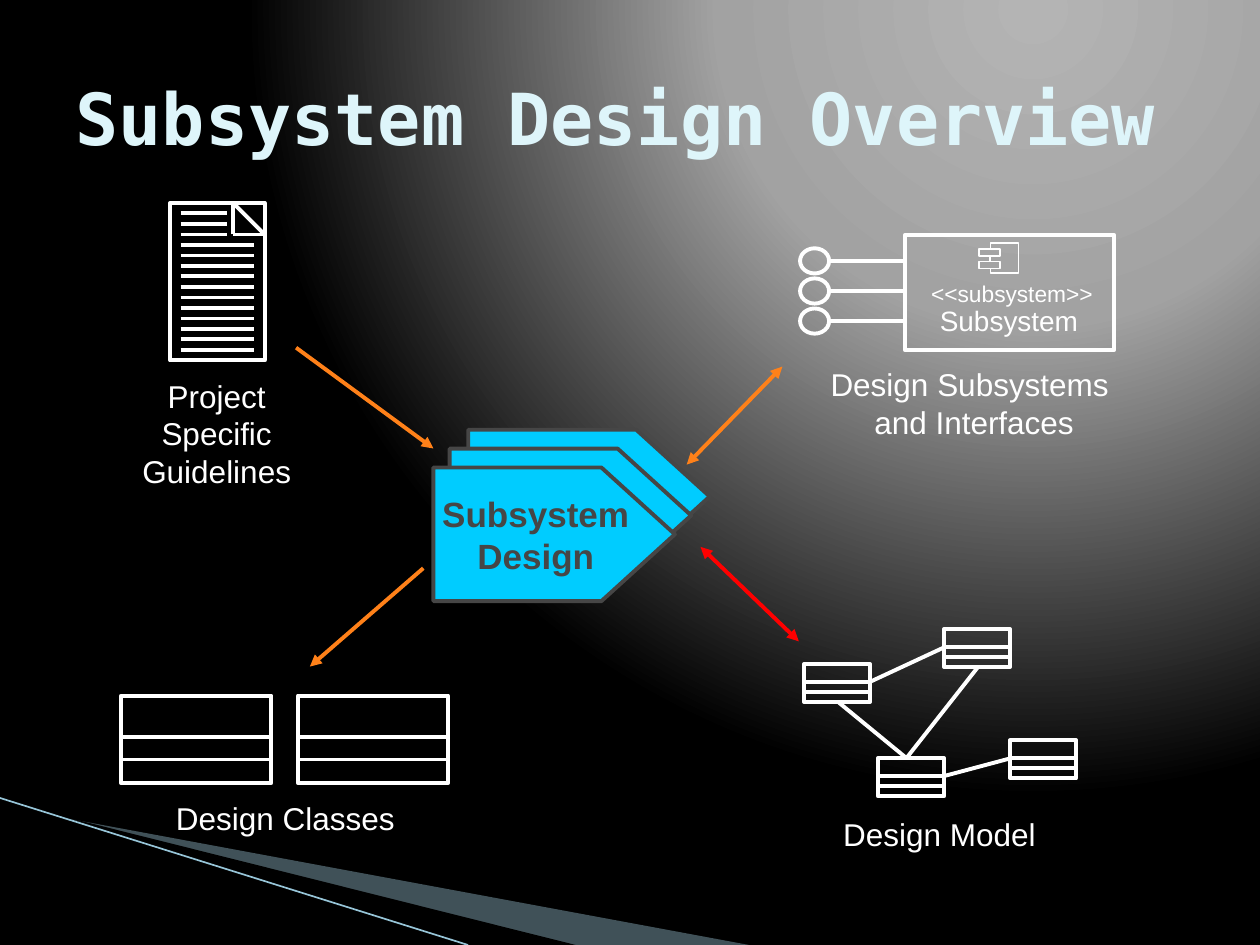
from dataclasses import dataclass

from lxml import etree
from pptx import Presentation
from pptx.dml.color import RGBColor
from pptx.enum.shapes import MSO_CONNECTOR, MSO_SHAPE
from pptx.enum.text import MSO_ANCHOR, MSO_AUTO_SIZE, PP_ALIGN
from pptx.oxml import parse_xml
from pptx.oxml.ns import nsdecls, qn
from pptx.util import Pt

STRAIGHT = MSO_CONNECTOR.STRAIGHT
RECTANGLE, OVAL, PENTAGON = MSO_SHAPE.RECTANGLE, MSO_SHAPE.OVAL, MSO_SHAPE.PENTAGON
MIDDLE = MSO_ANCHOR.MIDDLE
NO_FIT, GROW = MSO_AUTO_SIZE.NONE, MSO_AUTO_SIZE.SHAPE_TO_FIT_TEXT
LEFT, CENTER = PP_ALIGN.LEFT, PP_ALIGN.CENTER


@dataclass(frozen=True)
class Theme:
    backdrop: tuple = ((0, "B4B4B4"), (40, "A2A2A2"), (100, "000000"))
    title: str = "DEF5FA"
    ink: str = "FFFFFF"
    step: str = "00CCFF"
    step_ink: str = "464646"
    flow: str = "FF8119"
    model_flow: str = "FF0000"
    swoosh: str = "A0CBDC"
    swoosh_line: str = "97C5D8"
    shade: str = "000000"
    title_font: str = "DejaVu Sans Mono"
    font: str = "Arial"
    title_size: float = 41
    step_size: float = 20
    caption_size: float = 18
    name_size: float = 16
    stereotype_size: float = 13
    stroke: float = 2.25
    thin: float = 1


THEME = Theme()


def set_background(page):
    """Radial gradient with its centre at the upper right."""
    stops = "".join(
        f'<a:gs pos="{position * 1000}"><a:srgbClr val="{color}"/></a:gs>'
        for position, color in THEME.backdrop)
    page._element.cSld.insert(0, parse_xml(
        f'<p:bg {nsdecls("p", "a")}><p:bgPr><a:gradFill rotWithShape="1">'
        f'<a:gsLst>{stops}</a:gsLst><a:path path="circle">'
        '<a:fillToRect l="65000" t="0" r="0" b="98000"/></a:path>'
        '</a:gradFill><a:effectLst/></p:bgPr></p:bg>'))


def style_shape(shape, fill=None, line=None, width=THEME.stroke):
    shape.shadow.inherit = False
    if fill:
        shape.fill.solid()
        shape.fill.fore_color.rgb = RGBColor.from_string(fill)
    else:
        shape.fill.background()
    if line:
        shape.line.color.rgb = RGBColor.from_string(line)
        shape.line.width = Pt(width)
    else:
        shape.line.fill.background()
    return shape


def add_outline(shapes, kind, left, top, width, height, stroke=THEME.stroke):
    shape = shapes.add_shape(kind, Pt(left), Pt(top), Pt(width), Pt(height))
    return style_shape(shape, line=THEME.ink, width=stroke)


def add_freeform(shapes, points, closed=True, **style):
    builder = shapes.build_freeform(*points[0], scale=Pt(1))
    builder.add_line_segments(points[1:], close=closed)
    return style_shape(builder.convert_to_shape(), **style)


def add_line(shapes, start, end, color=THEME.ink, width=THEME.stroke, arrows=()):
    """Straight line; arrows lists the ends ("headEnd", "tailEnd") that get a tip."""
    line = shapes.add_connector(STRAIGHT, *(Pt(value) for value in (*start, *end)))
    line.line.color.rgb = RGBColor.from_string(color)
    line.line.width = Pt(width)
    for arrow in arrows:
        etree.SubElement(line.line._ln, qn(f"a:{arrow}"), type="triangle")
    etree.SubElement(line._element.spPr, qn("a:effectLst"))


def write(frame, text, size, color=THEME.ink, font=THEME.font, bold=False, align=CENTER):
    frame.text = text
    for para in frame.paragraphs:
        para.alignment = align
        para.font.size = Pt(size)
        para.font.name = font
        para.font.bold = bold
        para.font.color.rgb = RGBColor.from_string(color)


def add_text(shapes, text, left, top, width, height, size=THEME.caption_size,
             align=CENTER, wrap=False, inset=True):
    box = shapes.add_textbox(Pt(left), Pt(top), Pt(width), Pt(height))
    frame = box.text_frame
    frame.word_wrap = wrap
    frame.auto_size = GROW
    if not inset:
        frame.margin_left = frame.margin_right = Pt(0)
        frame.margin_top = frame.margin_bottom = Pt(0)
    write(frame, text, size, align=align)


def add_class(shapes, left, top, width, height):
    """Class symbol: a box with three compartments."""
    add_outline(shapes, RECTANGLE, left, top, width, height)
    for share in (0.47, 0.73):
        y = top + share * height
        add_line(shapes, (left, y), (left + width, y))


def add_swoosh(page):
    wing = add_freeform(page.shapes, [(39.6, 468), (428.4, 540), (328.3, 540)],
                        fill=THEME.swoosh)
    color = wing._element.spPr.find(f'{qn("a:solidFill")}/{qn("a:srgbClr")}')
    etree.SubElement(color, qn("a:alpha"), val="40000")
    add_freeform(page.shapes, [(38.2, 467.3), (329, 540), (267.8, 540)], fill=THEME.shade)
    add_line(page.shapes, (0, 456), (267.5, 540), THEME.swoosh_line, 0.95)


def add_title(page):
    title = page.shapes.title
    title.left, title.top, title.width, title.height = Pt(36), Pt(21.6), Pt(648), Pt(90)
    title.text_frame.vertical_anchor = MIDDLE
    title.text_frame.auto_size = NO_FIT
    write(title.text_frame, "Subsystem Design Overview", THEME.title_size,
          THEME.title, THEME.title_font, True, LEFT)


def add_design_step(page):
    for left, top in ((267.6, 245.6), (257, 256.4), (247.7, 267.2)):
        plate = page.shapes.add_shape(PENTAGON, Pt(left), Pt(top), Pt(138), Pt(76.3))
        plate.adjustments[0] = 0.55
        style_shape(plate, THEME.step, THEME.step_ink)
    plate.text_frame.word_wrap = False
    plate.text_frame.vertical_anchor = MIDDLE
    write(plate.text_frame, "Subsystem\nDesign", THEME.step_size, THEME.step_ink, bold=True)


def add_guidelines(page):
    shapes = page.shapes.add_group_shape().shapes
    left, top, width, height, fold = 97.2, 116, 54, 90, 18
    right = left + width
    add_outline(shapes, RECTANGLE, left, top, width, height)
    # Folded corner
    corner = [(right - fold, top), (right, top + fold), (right - fold, top + fold)]
    for index, point in enumerate(corner):
        add_line(shapes, point, corner[(index + 1) % 3])
    # Lines of writing, short beside the fold
    for row in range(14):
        y = top + 6 * (row + 1)
        add_line(shapes, (left + 6, y), (129.6 if row < 3 else right - 6, y))
    add_text(shapes, "Project Specific\nGuidelines", 54.7, 211.7, 138.2, 50.4)


def add_subsystem(page):
    shapes = page.shapes
    for row in range(3):
        top = 141.9 + 17.2 * row
        add_outline(shapes, OVAL, 457.2, top, 16.6, 14.4)
        add_line(shapes, (473.8, top + 7.2), (517, top + 7.2))
    add_outline(shapes, RECTANGLE, 517, 134.5, 119.8, 65.5)
    add_text(shapes, "Subsystem", 537.1, 173.5, 79.2, 19.4, THEME.name_size, LEFT, inset=False)
    add_text(shapes, "<<subsystem>>", 532.1, 159.8, 92.9, 15.8, THEME.stereotype_size,
             LEFT, inset=False)
    # Component symbol
    icon = shapes.add_group_shape().shapes
    for top in (142.2, 149.4):
        add_outline(icon, RECTANGLE, 559.3, top, 12, 4, THEME.thin)
    frame = [(565.9, 142.2), (565.9, 139.2), (582.5, 139.2),
             (582.5, 156.1), (565.9, 156.1), (565.9, 153.5)]
    add_freeform(icon, frame, closed=False, line=THEME.ink, width=THEME.thin)
    add_line(icon, (565.9, 146.2), (565.9, 149.4), width=THEME.thin)
    add_text(shapes, "Design Subsystems \nand Interfaces", 467.3, 205.2, 178.6, 50.4)


def add_design_classes(page):
    for left in (69.1, 170.2):
        add_class(page.shapes.add_group_shape().shapes, left, 397.6, 86, 49.9)
    add_text(page.shapes, "Design Classes", 79.2, 452.9, 167.8, 28.8, wrap=True)


def add_design_model(page):
    shapes = page.shapes.add_group_shape().shapes
    for left, top in ((459.4, 379.4), (539.4, 359.4), (501.7, 433.2), (577.2, 423)):
        add_class(shapes, left, top, 37.8, 21.8)
    for start, end in (((518, 433.2), (479, 401.2)), ((497.2, 389.6), (539.4, 370)),
                       ((539.4, 443.5), (577.2, 433.4)), ((518, 433.2), (558.7, 381.4))):
        add_line(shapes, start, end)
    add_text(shapes, "Design Model", 474.5, 462.2, 124.6, 28.8)


def add_flows(page):
    both, forward = ("headEnd", "tailEnd"), ("tailEnd",)
    for start, end, color, arrows in (
            ((392.4, 265.5), (447.1, 209.5), THEME.flow, both),
            ((241.9, 324.7), (177.1, 380.9), THEME.flow, forward),
            ((169.2, 198.7), (247.7, 256.3), THEME.flow, forward),
            ((456.5, 366.5), (400.3, 312.5), THEME.model_flow, both)):
        add_line(page.shapes, start, end, color, arrows=arrows)


def main():
    deck = Presentation()
    deck.slide_width, deck.slide_height = Pt(720), Pt(540)
    page = deck.slides.add_slide(deck.slide_layouts.get_by_name("Title Only"))
    for part in (set_background, add_swoosh, add_title, add_design_step, add_guidelines,
                 add_subsystem, add_design_classes, add_design_model, add_flows):
        part(page)
    deck.save("out.pptx")


if __name__ == "__main__":
    main()
